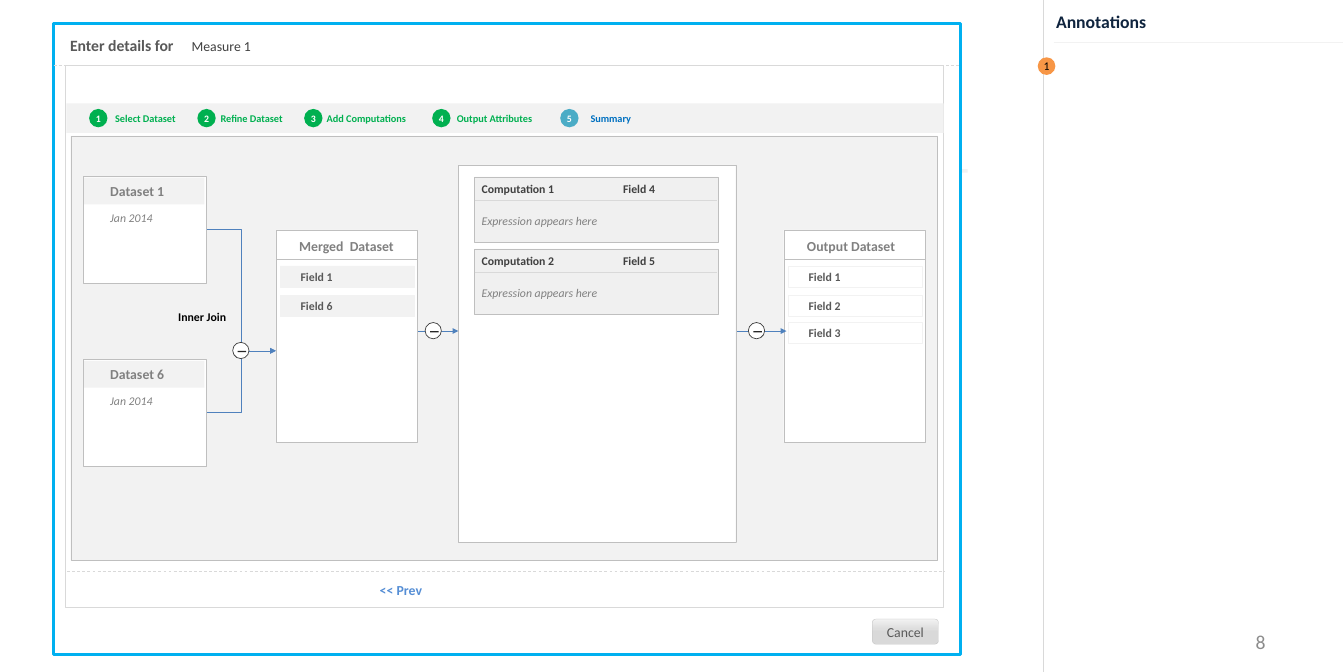
from dataclasses import dataclass

from pptx import Presentation
from pptx.dml.color import RGBColor
from pptx.enum.dml import MSO_LINE
from pptx.enum.shapes import MSO_CONNECTOR, MSO_SHAPE
from pptx.enum.text import MSO_ANCHOR, PP_ALIGN
from pptx.oxml.ns import qn
from pptx.util import Inches, Pt
from lxml.etree import SubElement


@dataclass(frozen=True)
class Theme:
    """Colours, font and type sizes of the slide."""
    font: str = "Calibri"
    white: str = "FFFFFF"
    black: str = "000000"
    pale: str = "F2F2F2"
    rule: str = "D9D9D9"
    border: str = "BFBFBF"
    muted: str = "808080"
    body: str = "595959"
    dark: str = "404040"
    minus: str = "262626"
    navy: str = "0F243E"
    page: str = "8C8C8C"
    frame: str = "00B0F0"
    done: str = "00B050"
    current: str = "4BACC6"
    current_label: str = "0070C0"
    flow: str = "4F81BD"
    link: str = "558ED5"
    note: str = "F79646"
    page_size: float = 20
    heading: float = 18
    title: float = 16
    subtitle: float = 14
    text: float = 12
    step: float = 10.5
    badge: float = 10


THEME = Theme()
HAIR, THIN, THICK = 0.25, 0.75, 3


def rgb(value):
    """Turn a hex string into a colour."""
    return RGBColor.from_string(value)


def place(shape, left, top, width, height):
    """Move and size a shape in inches."""
    shape.left, shape.top = Inches(left), Inches(top)
    shape.width, shape.height = Inches(width), Inches(height)


def write(shape, words, size, color, bold=False, italic=False, align=PP_ALIGN.LEFT,
          anchor=MSO_ANCHOR.TOP, insets=(0.1, 0.05), wrap=True):
    """Put one formatted paragraph into a shape."""
    frame = shape.text_frame
    frame.text = words
    frame.word_wrap = wrap
    frame.vertical_anchor = anchor
    frame.margin_left = frame.margin_right = Inches(insets[0])
    frame.margin_top = frame.margin_bottom = Inches(insets[1])
    paragraph = frame.paragraphs[0]
    paragraph.alignment = align
    font = paragraph.runs[0].font
    font.name, font.size, font.color.rgb = THEME.font, Pt(size), rgb(color)
    font.bold, font.italic = bold, italic


def label(slide, left, top, width, height, words, size, color, **style):
    """Add a text box."""
    box = slide.shapes.add_textbox(Inches(left), Inches(top), Inches(width), Inches(height))
    write(box, words, size, color, **style)


def block(slide, left, top, width, height, fill, line=None, weight=HAIR, kind=MSO_SHAPE.RECTANGLE):
    """Add a flat filled shape with an optional outline."""
    shape = slide.shapes.add_shape(kind, Inches(left), Inches(top), Inches(width), Inches(height))
    shape.shadow.inherit = False
    shape.fill.solid()
    shape.fill.fore_color.rgb = rgb(fill)
    if line:
        shape.line.color.rgb = rgb(line)
        shape.line.width = Pt(weight)
    else:
        shape.line.fill.background()
    return shape


def connect(slide, start, end, color, weight=THIN, kind=MSO_CONNECTOR.STRAIGHT, dash=False, arrow=False):
    """Add a line, dashed or with an arrowhead if asked."""
    line = slide.shapes.add_connector(kind, *map(Inches, start + end))
    line.line.color.rgb = rgb(color)
    line.line.width = Pt(weight)
    if dash:
        line.line.dash_style = MSO_LINE.DASH
    if arrow:
        SubElement(line.line._get_or_add_ln(), qn("a:tailEnd"), type="triangle")
    SubElement(line._element.spPr, qn("a:effectLst"))


def badge(slide, left, top, diameter, number, fill, size, color, bold):
    """Add a numbered circle."""
    circle = block(slide, left, top, diameter, diameter, fill, kind=MSO_SHAPE.OVAL)
    write(circle, number, size, color, bold=bold, align=PP_ALIGN.CENTER,
          anchor=MSO_ANCHOR.MIDDLE, insets=(0, 0), wrap=False)


def annotations(slide, left):
    """Draw the annotation column to the right of its divider."""
    connect(slide, (left, 0), (left, 9.5), THEME.rule)
    label(slide, left + 0.06, 0.09, 1.53, 0.43, "Annotations", THEME.heading, THEME.navy,
          bold=True, insets=(0.12, 0.06), wrap=False)
    connect(slide, (left + 0.15, 0.6), (18.98, 0.6), THEME.pale)
    label(slide, left + 0.17, 8.81, 3.13, 0.51, "8", THEME.page_size, THEME.page,
          align=PP_ALIGN.RIGHT, anchor=MSO_ANCHOR.MIDDLE, insets=(0.16, 0.08))
    badge(slide, left - 0.08, 0.81, 0.25, "1", THEME.note, THEME.text, THEME.black, False)


def dialog(slide, left, top):
    """Draw the dialog frame, its title, canvas and buttons."""
    block(slide, left + 12.07, top + 2.06, 0.86, 0.05, THEME.pale)
    block(slide, left, top, 12.83, 8.92, THEME.white, THEME.frame, THICK)
    block(slide, left + 0.17, top + 0.59, 12.42, 7.67, THEME.white, THEME.rule)
    connect(slide, (left + 0.01, top + 0.59), (left + 12.81, top + 0.59), THEME.rule, dash=True)
    connect(slide, (left + 0.2, top + 7.75), (left + 12.6, top + 7.75), THEME.rule, dash=True)
    title = slide.shapes.title
    slide.shapes._spTree.append(title._element)
    place(title, left + 0.14, top + 0.13, 1.78, 0.37)
    write(title, "Enter details for", THEME.title, THEME.body, bold=True)
    label(slide, left + 1.86, top + 0.16, 1.06, 0.34, "Measure 1", THEME.subtitle, THEME.dark)
    block(slide, left + 0.25, top + 1.59, 12.25, 6, THEME.pale, THEME.border)
    label(slide, left + 4.52, top + 7.84, 1.07, 0.33, "<< Prev", THEME.subtitle, THEME.link, bold=True)
    cancel = block(slide, left + 11.58, top + 8.42, 0.94, 0.36, THEME.rule, THEME.border,
                   kind=MSO_SHAPE.ROUNDED_RECTANGLE)
    cancel.fill.gradient()
    cancel.fill.gradient_angle = 90
    for stop, position, color in zip(cancel.fill.gradient_stops, (0.5, 1), (THEME.rule, THEME.pale)):
        stop.position, stop.color.rgb = position, rgb(color)
    write(cancel, "Cancel", THEME.subtitle, THEME.body, align=PP_ALIGN.CENTER,
          anchor=MSO_ANCHOR.MIDDLE, insets=(0.12, 0.06))


def steps(slide, left, top):
    """Draw the strip of numbered wizard steps."""
    block(slide, left, top, 12.4, 0.42, THEME.pale)
    stages = [("Select Dataset", 0.32, 0.59), ("Refine Dataset", 1.85, 2.08),
              ("Add Computations", 3.36, 3.58), ("Output Attributes", 5.17, 5.42),
              ("Summary", 6.98, 7.31)]
    for number, (name, badge_x, name_x) in enumerate(stages, 1):
        current = number == len(stages)
        badge(slide, left + badge_x, top + 0.08, 0.26, str(number),
              THEME.current if current else THEME.done, THEME.badge, THEME.white, True)
        label(slide, left + name_x, top + 0.07, 1.36, 0.28, name, THEME.step,
              THEME.current_label if current else THEME.done, bold=True)


def computations(slide, left, top):
    """Draw the panel of computation cards."""
    block(slide, left, top, 3.92, 5.33, THEME.white, THEME.border)
    card_x = left + 0.23
    for index, (name, field) in enumerate([("Computation 1", "Field 4"), ("Computation 2", "Field 5")]):
        card_y = top + 0.17 + 1.02 * index
        card = block(slide, card_x, card_y, 3.44, 0.92, THEME.rule, THEME.border)
        tint = card._element.spPr.find(qn("a:solidFill")).find(qn("a:srgbClr"))
        SubElement(tint, qn("a:alpha"), val="38000")
        for offset, width, words in ((0, 1.25, name), (2, 1, field)):
            label(slide, card_x + offset, card_y + 0.02, width, 0.3, words, THEME.text, THEME.dark, bold=True)
        connect(slide, (card_x, card_y + 0.33), (card_x + 3.43, card_y + 0.33), THEME.rule)
        label(slide, card_x, card_y + 0.47, 2.33, 0.3, "Expression appears here",
              THEME.text, THEME.muted, italic=True)


def field_panel(slide, left, top, name, fields, field_fill):
    """Draw a titled panel with a list of fields."""
    block(slide, left, top, 2, 0.42, THEME.white, THEME.border)
    label(slide, left + 0.23, top + 0.06, 1.58, 0.34, name, THEME.subtitle, THEME.muted, bold=True)
    block(slide, left, top + 0.42, 2, 2.58, THEME.white, THEME.border)
    for field, offset in zip(fields, (0.51, 0.93, 1.31)):
        row = block(slide, left + 0.06, top + offset, 1.9, 0.3, field_fill, THEME.pale, THIN)
        write(row, field, THEME.text, THEME.body, bold=True, insets=(0.29, 0.05))


def dataset(slide, left, top, name):
    """Draw a source dataset card."""
    block(slide, left, top, 1.75, 1.51, THEME.white, THEME.border)
    block(slide, left + 0.02, top + 0.02, 1.7, 0.38, THEME.pale)
    label(slide, left + 0.29, top + 0.04, 1.26, 0.34, name, THEME.subtitle, THEME.muted, bold=True)
    label(slide, left + 0.29, top + 0.44, 0.99, 0.3, "Jan 2014", THEME.text, THEME.muted, italic=True)


def toggle(slide, left, top):
    """Draw a circled minus sign."""
    block(slide, left, top, 0.23, 0.23, THEME.white, THEME.dark, THIN, MSO_SHAPE.OVAL)
    block(slide, left + 0.07, top + 0.12, 0.12, 0.02, THEME.minus)


def data_flow(slide):
    """Draw the datasets, panels and the arrows between them."""
    computations(slide, 6.48, 2.33)
    field_panel(slide, 11.08, 3.25, "Output Dataset", ("Field 1", "Field 2", "Field 3"), THEME.white)
    for start, end in ((10.42, 11.12), (5.88, 6.48)):
        connect(slide, (start, 4.68), (end, 4.68), THEME.flow, HAIR, arrow=True)
    for name, card_y in (("Dataset 1", 2.49), ("Dataset 6", 5.08)):
        connect(slide, (2.92, card_y + 0.75), (3.9, 4.96), THEME.flow, HAIR, MSO_CONNECTOR.ELBOW, arrow=True)
        dataset(slide, 1.17, card_y, name)
    field_panel(slide, 3.9, 3.25, "Merged  Dataset", ("Field 1", "Field 6"), THEME.pale)
    label(slide, 2.42, 4.33, 0.99, 0.3, "Inner Join", THEME.text, THEME.black, bold=True)
    for position in ((3.29, 4.84), (6.01, 4.56), (10.58, 4.56)):
        toggle(slide, *position)


def build():
    """Build and save the slide."""
    deck = Presentation()
    deck.slide_width, deck.slide_height = Inches(19), Inches(9.5)
    slide = deck.slides.add_slide(deck.slide_layouts[5])
    annotations(slide, 14.75)
    dialog(slide, 0.75, 0.33)
    steps(slide, 0.94, 1.46)
    data_flow(slide)
    deck.save("out.pptx")


build()
